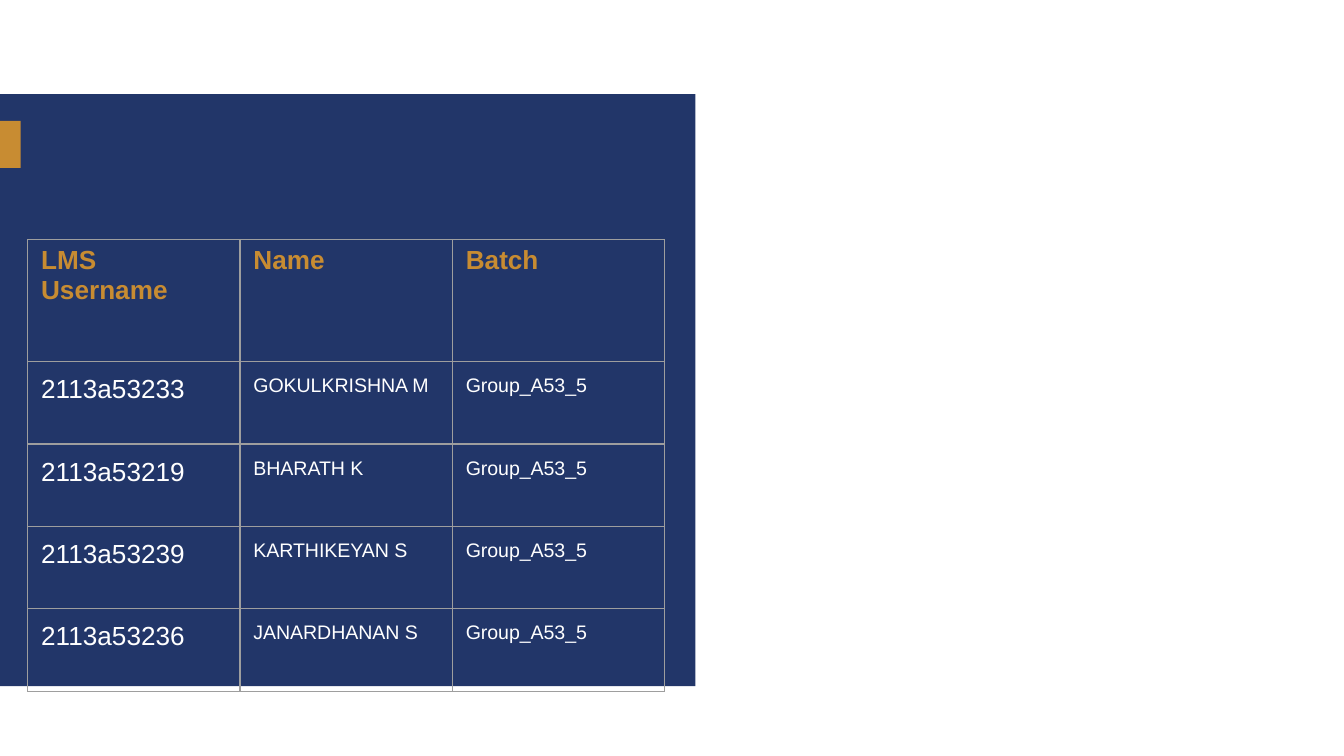
from lxml.etree import SubElement
from pptx import Presentation
from pptx.dml.color import RGBColor
from pptx.enum.shapes import MSO_SHAPE as Shape
from pptx.oxml.ns import qn
from pptx.util import Inches, Pt

COLORS = {"navy": "223669", "gold": "C88C32", "white": "FFFFFF", "grid": "9E9E9E"}

HEADERS = ["LMS Username", "Name", "Batch"]
STUDENTS = [
    ("2113a53233", "GOKULKRISHNA M"),
    ("2113a53219", "BHARATH K"),
    ("2113a53239", "KARTHIKEYAN S"),
    ("2113a53236", "JANARDHANAN S"),
]
BATCH = "Group_A53_5"


class SlideBuilder:
    """Style and current slide; lengths are units of a 100-column grid."""

    font = "Arial"
    border_width = Pt(0.75)

    def __init__(self, deck):
        self.page = deck.slides.add_slide(deck.slide_layouts[6])
        self.unit = deck.slide_width / 100

    def grid(self, *lengths):
        return [round(length * self.unit) for length in lengths]

    def block(self, left, top, width, height, color):
        shape = self.page.shapes.add_shape(
            Shape.RECTANGLE, *self.grid(left, top, width, height))
        shape.shadow.inherit = False
        shape.fill.solid()
        shape.fill.fore_color.rgb = RGBColor.from_string(COLORS[color])
        shape.line.fill.background()

    def borders(self, cell):
        properties = cell._tc.get_or_add_tcPr()
        for side in ("a:lnL", "a:lnR", "a:lnT", "a:lnB"):
            line = SubElement(properties, qn(side), w=str(self.border_width))
            fill = SubElement(line, qn("a:solidFill"))
            SubElement(fill, qn("a:srgbClr"), val=COLORS["grid"])

    def cell(self, cell, text, size, color, bold, inset):
        self.borders(cell)
        cell.fill.background()
        cell.margin_left, cell.margin_right = self.grid(1, 1)
        cell.margin_top, cell.margin_bottom = self.grid(inset, inset)
        span = cell.text_frame.paragraphs[0].add_run()
        span.text = text
        span.font.name = self.font
        span.font.size = Pt(size)
        span.font.bold = bold
        span.font.color.rgb = RGBColor.from_string(COLORS[color])

    def table(self, left, top, column_width, header_height, row_height, headers, rows):
        width = column_width * len(headers)
        height = header_height + row_height * len(rows)
        table = self.page.shapes.add_table(
            len(rows) + 1, len(headers), *self.grid(left, top, width, height)).table
        table.first_row = table.horz_banding = False
        for column in table.columns:
            column.width = self.grid(column_width)[0]
        for index, row in enumerate(table.rows):
            row.height = self.grid(row_height if index else header_height)[0]

        for column, text in enumerate(headers):
            self.cell(table.cell(0, column), text, 14, "gold", True, 0.5)
        for index, row in enumerate(rows, start=1):
            for column, text in enumerate(row):
                size = 10.5 if column else 14
                self.cell(table.cell(index, column), text, size, "white", False, 1)


def main():
    deck = Presentation()
    deck.slide_width = Inches(10)
    deck.slide_height = deck.slide_width * 9 // 16
    slide = SlideBuilder(deck)

    # Left panel and its accent tab
    slide.block(0, 7, 51.75, 44.05, "navy")
    slide.block(0, 9, 1.55, 3.5, "gold")

    # Student list
    slide.table(2.06, 17.81, 15.8, 9.1, 6.13, HEADERS,
                [(*student, BATCH) for student in STUDENTS])

    deck.save("out.pptx")


if __name__ == "__main__":
    main()
